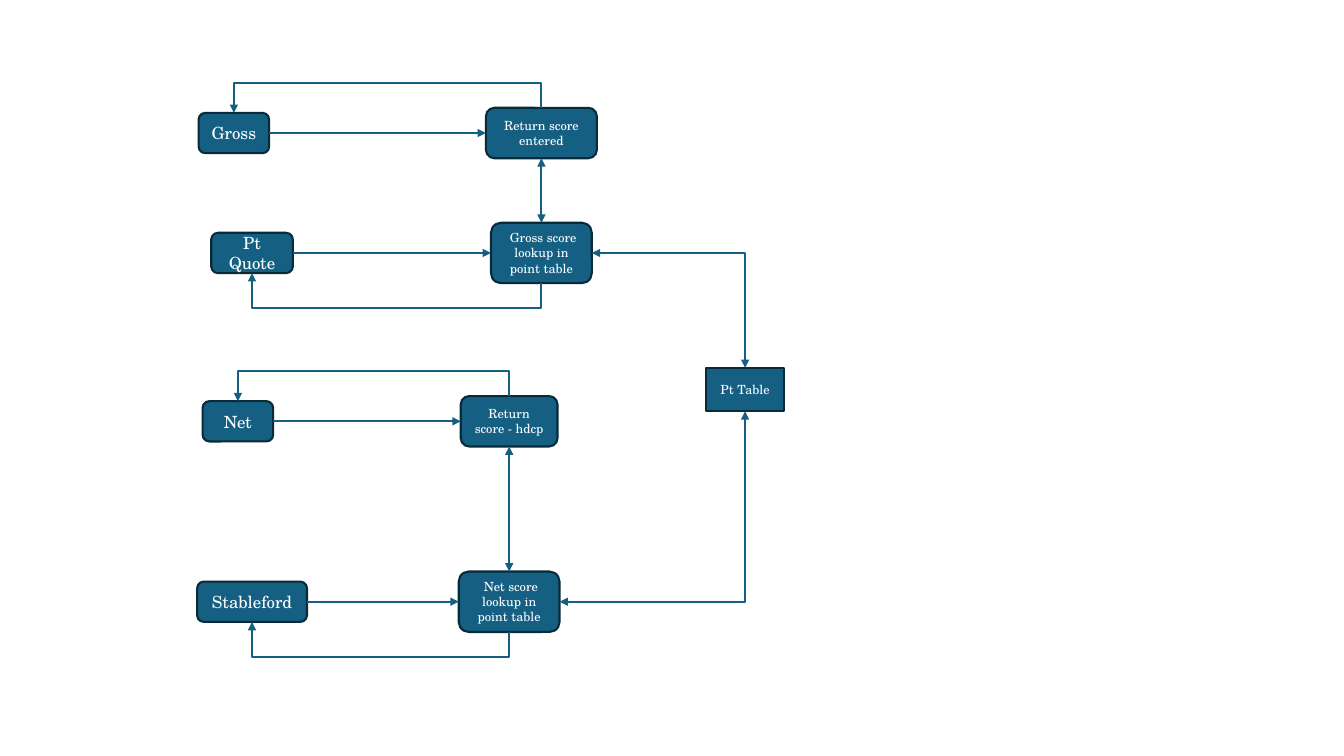
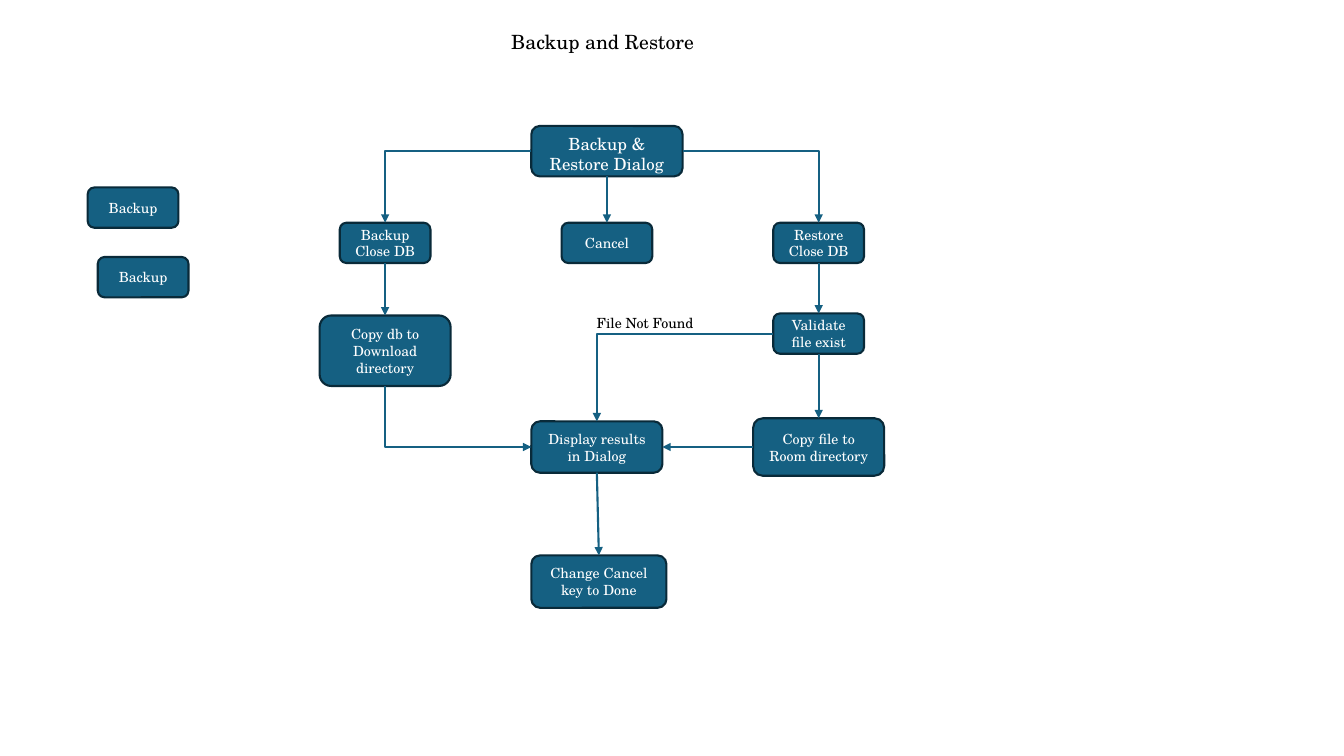
from lxml.etree import SubElement
from pptx import Presentation
from pptx.dml.color import RGBColor
from pptx.enum.shapes import MSO_CONNECTOR, MSO_SHAPE
from pptx.enum.text import MSO_ANCHOR, MSO_AUTO_SIZE, PP_ALIGN
from pptx.oxml.ns import qn
from pptx.util import Inches, Pt

FONT = "TeX Gyre Schola"
BLUE = "156082"
OUTLINE = "092A39"
WHITE = "FFFFFF"
BLACK = "000000"
TOP, LEFT, BOTTOM, RIGHT = range(4)
LOOP_RISE = Inches(0.25)


def color(value):
    return RGBColor.from_string(value)


def write(frame, text, size=10, ink=WHITE, align=PP_ALIGN.CENTER,
          anchor=MSO_ANCHOR.MIDDLE, wrap=True):
    frame.auto_size = MSO_AUTO_SIZE.NONE
    frame.word_wrap = wrap
    frame.vertical_anchor = anchor
    for index, line in enumerate(text.split("\n")):
        para = frame.paragraphs[0] if index == 0 else frame.add_paragraph()
        para.alignment = align
        span = para.add_run()
        span.text = line
        span.font.name = FONT
        span.font.size = Pt(size)
        span.font.color.rgb = color(ink)


def place(box, left, top, width, height):
    box.left, box.top = Inches(left), Inches(top)
    box.width, box.height = Inches(width), Inches(height)


def block(page, center, top, width, height, text,
          kind=MSO_SHAPE.ROUNDED_RECTANGLE, **style):
    box = page.shapes.add_shape(kind, Inches(center - width / 2), Inches(top),
                                Inches(width), Inches(height))
    box.shadow.inherit = False
    box.fill.solid()
    box.fill.fore_color.rgb = color(BLUE)
    box.line.color.rgb = color(OUTLINE)
    box.line.width = Pt(1.5)
    write(box.text_frame, text, **style)
    return box


def link(page, start, start_side, end, end_side, ends=("tailEnd",),
         kind=MSO_CONNECTOR.STRAIGHT):
    arrow = page.shapes.add_connector(kind, 0, 0, 0, 0)
    arrow.begin_connect(start, start_side)
    arrow.end_connect(end, end_side)
    arrow.line.color.rgb = color(BLUE)
    arrow.line.width = Pt(1.5)
    line = arrow.line._get_or_add_ln()
    for name in ends:
        SubElement(line, qn(f"a:{name}"), type="triangle")
    SubElement(arrow.element.spPr, qn("a:effectLst"))
    return arrow


def corner_link(page, start, start_side, end, end_side, ends=("tailEnd",)):
    arrow = link(page, start, start_side, end, end_side, ends, MSO_CONNECTOR.ELBOW)
    arrow.element.spPr.find(qn("a:prstGeom")).set("prst", "bentConnector2")


def loop_link(page, start, end, side):
    arrow = link(page, start, side, end, side, kind=MSO_CONNECTOR.ELBOW)
    across, rise = arrow.width, arrow.height
    middle_x = arrow.left + across // 2
    middle_y = arrow.top + rise // 2
    arrow.left, arrow.top = middle_x - rise // 2, middle_y - across // 2
    arrow.width, arrow.height = rise, across
    frame = arrow.element.spPr.find(qn("a:xfrm"))
    frame.set("rot", str((270 if side == TOP else 90) * 60000))
    frame.set("flipH", "1")
    frame.set("flipV", "1" if side == TOP else "0")
    guides = arrow.element.spPr.find(qn("a:prstGeom")).find(qn("a:avLst"))
    bend = round(-LOOP_RISE / rise * 100000)
    SubElement(guides, qn("a:gd"), name="adj1", fmla=f"val {bend}")


def scoring_region(page, left, top, score, entry, points, lookup, drop):
    score_text, score_center = score
    entry_text, entry_center, entry_width = entry
    points_text, points_width = points
    entry_center += left
    score_box = block(page, left + score_center, top + 0.05, 0.7, 0.4, score_text, size=12)
    entry_box = block(page, entry_center, top, entry_width, 0.5, entry_text, size=9)
    points_box = block(page, left + 0.55, top + drop + 0.1, points_width, 0.4,
                       points_text, size=12)
    lookup_box = block(page, entry_center, top + drop, 1, 0.6, lookup, size=9)
    link(page, score_box, RIGHT, entry_box, LEFT)
    loop_link(page, entry_box, score_box, TOP)
    link(page, points_box, RIGHT, lookup_box, LEFT)
    loop_link(page, lookup_box, points_box, BOTTOM)
    link(page, entry_box, BOTTOM, lookup_box, TOP, ("headEnd", "tailEnd"))
    return lookup_box


def scoring_slide(deck):
    page = deck.slides.add_slide(deck.slide_layouts[6])
    gross_lookup = scoring_region(
        page, 1.95, 1.07, ("Gross", 0.37), ("Return score entered", 3.42, 1.1),
        ("Pt Quote", 0.81), " Gross score lookup in point table", 1.14)
    net_lookup = scoring_region(
        page, 1.95, 3.93, ("Net", 0.41), ("Return score - hdcp", 3.1, 0.96),
        ("Stableford", 1.09), " Net score lookup in point table", 1.74)
    table_box = block(page, 7.39, 3.65, 0.77, 0.43, "Pt Table",
                      MSO_SHAPE.RECTANGLE, size=9)
    for lookup, side in ((gross_lookup, TOP), (net_lookup, BOTTOM)):
        corner_link(page, lookup, RIGHT, table_box, side, ("headEnd", "tailEnd"))


def backup_flow(page, left, top):
    def step(center, drop, width, height, text, **style):
        return block(page, left + center, top + drop, width, height, text, **style)

    dialog = step(2.85, 0, 1.5, 0.5, "Backup & Restore Dialog", size=12,
                  anchor=MSO_ANCHOR.TOP)
    backup, cancel, restore = [
        step(center, 0.96, 0.9, 0.4, text) for center, text in
        ((0.65, "Backup\nClose DB"), (2.85, "Cancel"), (4.95, "Restore\nClose DB"))]
    copy_database = step(0.65, 1.88, 1.3, 0.7, "Copy db to Download directory")
    validate = step(4.95, 1.86, 0.9, 0.4, "Validate file exist")
    results = step(2.75, 2.93, 1.3, 0.51, "Display results in Dialog")
    copy_file = step(4.95, 2.9, 1.3, 0.57, "Copy file to Room directory")
    done = step(2.77, 4.26, 1.34, 0.52, "Change Cancel key to Done")

    for start, end in ((dialog, cancel), (backup, copy_database), (restore, validate),
                       (validate, copy_file), (results, done)):
        link(page, start, BOTTOM, end, TOP)
    link(page, copy_file, LEFT, results, RIGHT)
    for start, side, end in ((dialog, LEFT, backup), (dialog, RIGHT, restore),
                             (validate, LEFT, results)):
        corner_link(page, start, side, end, TOP)
    corner_link(page, results, LEFT, copy_database, BOTTOM, ("headEnd",))

    note = page.shapes.add_textbox(Inches(left + 2.65), Inches(top + 1.82),
                                   Inches(1.18), Inches(0.27))
    write(note.text_frame, "File Not Found", ink=BLACK, align=PP_ALIGN.LEFT,
          anchor=MSO_ANCHOR.TOP, wrap=False)


def backup_slide(deck):
    page = deck.slides.add_slide(deck.slide_layouts[5])
    title = page.shapes.title
    place(title, 4.97, 0.25, 2.03, 0.34)
    write(title.text_frame, "Backup and Restore", size=14, ink=BLACK,
          align=PP_ALIGN.LEFT, anchor=MSO_ANCHOR.TOP, wrap=False)
    for center, top in ((1.42, 2.55), (1.32, 1.86)):
        block(page, center, top, 0.9, 0.4, "Backup")
    backup_flow(page, 3.17, 1.25)


def main():
    deck = Presentation()
    deck.slide_width, deck.slide_height = Inches(13.33), Inches(7.5)
    scoring_slide(deck)
    backup_slide(deck)
    deck.save("out.pptx")


if __name__ == "__main__":
    main()
